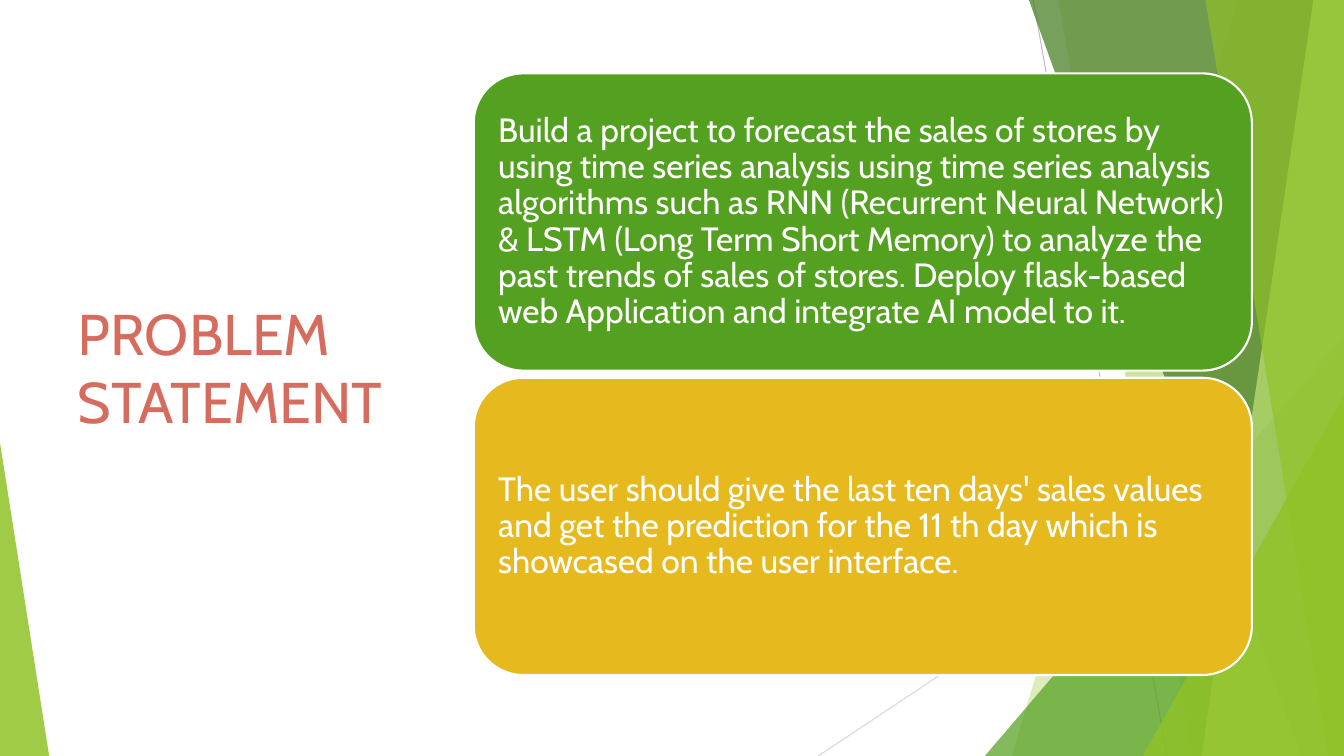
from dataclasses import dataclass

import lxml.etree
import pptx
import pptx.dml.color
import pptx.enum.dml
import pptx.enum.shapes
import pptx.enum.text
import pptx.oxml.ns
import pptx.util

Cm = pptx.util.Cm
Pt = pptx.util.Pt

COLORS = {
    "white": "FFFFFF",
    "gray": "BFBFBF",
    "light_gray": "D9D9D9",
    "lime": "90C226",
    "pale_lime": "C0E474",
    "green": "54A021",
    "dark_green": "3F7819",
    "gold": "E6B91E",
    "red": "C42F1A",
}
FONT = "Cabin"
SLIDE_W, SLIDE_H = 33.87, 19.05


@dataclass
class Ray:
    start: tuple[float, float]
    end: tuple[float, float]
    color: str


@dataclass
class Facet:
    """Full-height panel reaching from a slanted left edge to the slide edge."""
    top_x: float
    bottom_x: float
    color: str
    opacity: int


@dataclass
class Wedge:
    """Right-angled triangle standing on the bottom of the slide."""
    left: float
    top: float
    width: float
    apex: float
    color: str
    opacity: int


@dataclass
class Card:
    message: str
    color: str


RAYS = [
    Ray((26.04, 0), (29.41, SLIDE_H), "gray"),
    Ray((SLIDE_W, 10.24), (20.62, SLIDE_H), "light_gray"),
]
BACKDROP = [
    Facet(31.19, 25.5, "lime", 30),
    Facet(26.67, 30.05, "lime", 20),
    Wedge(24.82, 8.46, 9.05, 1, "green", 72),
    Facet(25.93, 32.79, "dark_green", 70),
    Facet(33.1, 30.28, "pale_lime", 70),
    Facet(30.38, 33.48, "lime", 65),
    Wedge(28.8, 9.98, 5.07, 1, "lime", 80),
    Wedge(0, 11.15, 1.24, 0, "lime", 85),
]
CARDS = [
    Card("Build a project to forecast the sales of stores by using time series "
         "analysis using time series analysis algorithms such as RNN (Recurrent "
         "Neural Network) & LSTM (Long Term Short Memory) to analyze the past "
         "trends of sales of stores. Deploy flask-based web Application and "
         "integrate AI model to it.", "green"),
    Card("The user should give the last ten days' sales values and get the "
         "prediction for the 11 th day which is showcased on the user "
         "interface.", "gold"),
]
CARD_LEFT, CARD_TOP, CARD_W, CARD_H, CARD_PITCH = 11.94, 1.85, 19.61, 7.49, 7.67


def rgb(name: str) -> pptx.dml.color.RGBColor:
    return pptx.dml.color.RGBColor.from_string(COLORS[name])


def set_opacity(element, percent: int) -> None:
    for color in element.iter(pptx.oxml.ns.qn("a:srgbClr")):
        alpha = lxml.etree.SubElement(color, pptx.oxml.ns.qn("a:alpha"))
        alpha.set("val", str(percent * 1000))


def draw_ray(shapes, ray: Ray) -> None:
    line = shapes.add_connector(
        pptx.enum.shapes.MSO_CONNECTOR.STRAIGHT,
        *(Cm(value) for value in ray.start + ray.end))
    line.line.color.rgb = rgb(ray.color)
    line.line.width = Pt(0.75)
    lxml.etree.SubElement(line._element.spPr, pptx.oxml.ns.qn("a:effectLst"))


def draw_backdrop(shapes, part: Facet | Wedge) -> None:
    if isinstance(part, Facet):
        outline = shapes.build_freeform(Cm(part.top_x), 0)
        outline.add_line_segments([
            (Cm(SLIDE_W), 0), (Cm(SLIDE_W), Cm(SLIDE_H)),
            (Cm(part.bottom_x), Cm(SLIDE_H))])
        panel = outline.convert_to_shape()
    else:
        panel = shapes.add_shape(
            pptx.enum.shapes.MSO_SHAPE.ISOSCELES_TRIANGLE, Cm(part.left),
            Cm(part.top), Cm(part.width), Cm(SLIDE_H - part.top))
        panel.adjustments[0] = part.apex
    panel.shadow.inherit = False
    panel.fill.solid()
    panel.fill.fore_color.rgb = rgb(part.color)
    panel.line.fill.background()
    set_opacity(panel._element.spPr, part.opacity)


def draw_title(title) -> None:
    title.left, title.top = Cm(1.7), Cm(1.5)
    title.width, title.height = Cm(9.47), Cm(15.47)
    frame = title.text_frame
    frame.text = "PROBLEM STATEMENT"
    frame.word_wrap = True
    frame.auto_size = pptx.enum.text.MSO_AUTO_SIZE.NONE
    frame.vertical_anchor = pptx.enum.text.MSO_ANCHOR.MIDDLE
    paragraph = frame.paragraphs[0]
    paragraph.alignment = pptx.enum.text.PP_ALIGN.LEFT
    font = paragraph.runs[0].font
    font.name, font.size = FONT, Pt(41)
    font.fill.gradient()
    font.fill.gradient_angle = 0
    for stop, color in zip(font.fill.gradient_stops, ("red", "lime")):
        stop.color.rgb = rgb(color)
    set_opacity(paragraph._p, 70)


def draw_card(shapes, card: Card, top: float) -> None:
    box = shapes.add_shape(
        pptx.enum.shapes.MSO_SHAPE.ROUNDED_RECTANGLE,
        Cm(CARD_LEFT), Cm(top), Cm(CARD_W), Cm(CARD_H))
    box.shadow.inherit = False
    box.fill.solid()
    box.fill.fore_color.rgb = rgb(card.color)
    box.line.color.rgb = rgb("white")
    box.line.width = Pt(1.5)
    frame = box.text_frame
    frame.text = card.message
    frame.word_wrap = True
    frame.vertical_anchor = pptx.enum.text.MSO_ANCHOR.MIDDLE
    frame.margin_left = frame.margin_right = Cm(0.25)
    frame.margin_top = frame.margin_bottom = Cm(0.25)
    paragraph = frame.paragraphs[0]
    paragraph.alignment = pptx.enum.text.PP_ALIGN.LEFT
    paragraph.line_spacing = 0.9
    font = paragraph.runs[0].font
    font.name, font.size = FONT, Pt(24)
    font.color.rgb = rgb("white")


def main() -> None:
    deck = pptx.Presentation()
    deck.slide_width, deck.slide_height = Cm(SLIDE_W), Cm(SLIDE_H)
    slide = deck.slides.add_slide(deck.slide_layouts[5])

    # Faceted backdrop
    for ray in RAYS:
        draw_ray(slide.shapes, ray)
    for part in BACKDROP:
        draw_backdrop(slide.shapes, part)

    # Title and statement cards
    draw_title(slide.shapes.title)
    for row, card in enumerate(CARDS):
        draw_card(slide.shapes, card, CARD_TOP + row * CARD_PITCH)

    deck.save("out.pptx")


if __name__ == "__main__":
    main()
